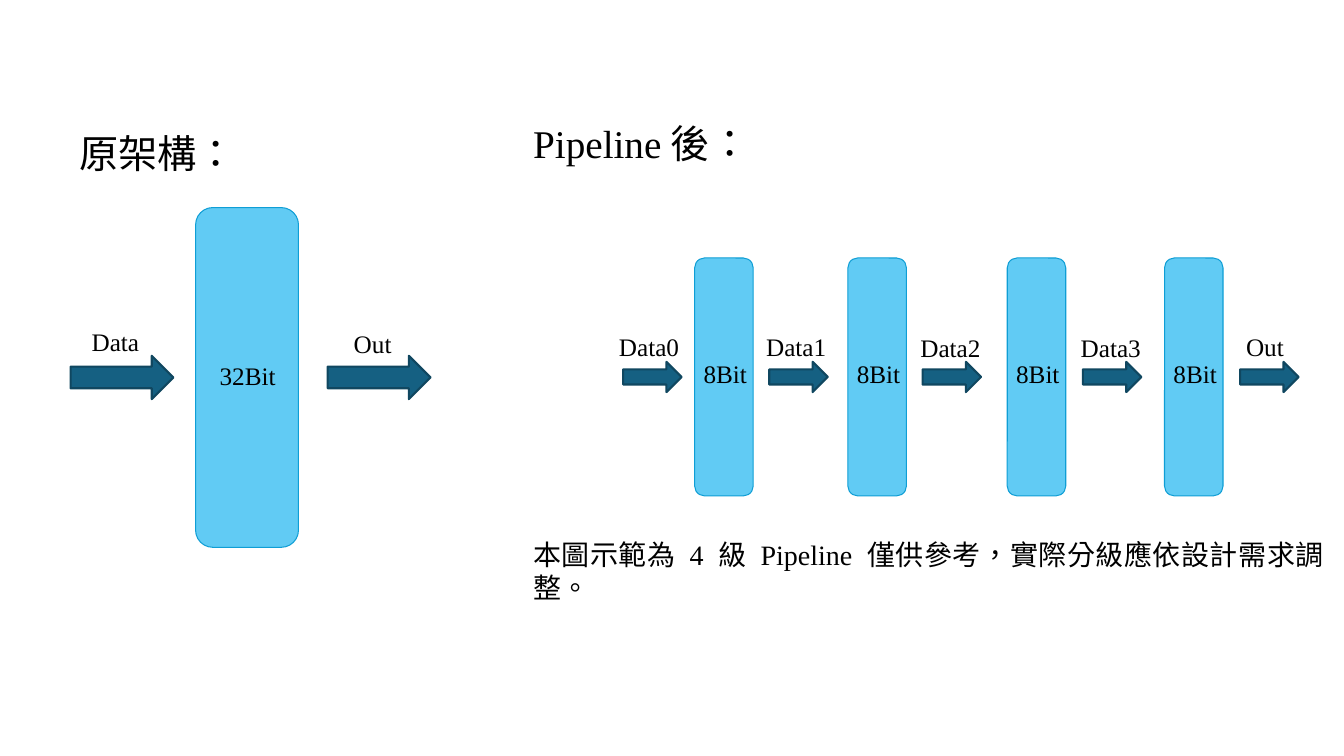
from pptx import Presentation
from pptx.dml.color import RGBColor
from pptx.enum.lang import MSO_LANGUAGE_ID
from pptx.enum.shapes import MSO_SHAPE
from pptx.enum.text import MSO_AUTO_SIZE, PP_ALIGN
from pptx.util import Pt

PX = 9144
COLORS = {
    "stage": "61CBF4",
    "stage_line": "0F9ED5",
    "arrow": "156082",
    "arrow_line": "104760",
    "text": "000000",
}


class Diagram:
    font = "Times New Roman"

    def __init__(self, page):
        self.page = page
        self.shapes = page.shapes

    def start_group(self):
        self.shapes = self.page.shapes.add_group_shape().shapes

    def end_group(self):
        self.shapes = self.page.shapes

    def shape(self, kind, area, color, line_width):
        box = self.shapes.add_shape(kind, *(length * PX for length in area))
        box.shadow.inherit = False
        box.fill.solid()
        box.fill.fore_color.rgb = RGBColor.from_string(COLORS[color])
        box.line.color.rgb = RGBColor.from_string(COLORS[color + "_line"])
        box.line.width = Pt(line_width)

    def stage(self, *area):
        self.shape(MSO_SHAPE.ROUNDED_RECTANGLE, area, "stage", 0.75)

    def arrow(self, *area):
        self.shape(MSO_SHAPE.RIGHT_ARROW, area, "arrow", 1.5)

    def text(self, words, *area, size=18, wrap=False, align=PP_ALIGN.LEFT):
        box = self.shapes.add_textbox(*(length * PX for length in area))
        frame = box.text_frame
        frame.word_wrap = wrap
        frame.auto_size = MSO_AUTO_SIZE.SHAPE_TO_FIT_TEXT
        para = frame.paragraphs[0]
        para.alignment = align
        span = para.add_run()
        span.text = words
        span.font.name = self.font
        span.font.size = Pt(size)
        span.font.color.rgb = RGBColor.from_string(COLORS["text"])
        span.font.language_id = MSO_LANGUAGE_ID.TRADITIONAL_CHINESE


def draw_single_stage(diagram):
    diagram.start_group()
    diagram.stage(194, 206, 102, 337)
    for left in (70, 325):
        diagram.arrow(left, 353, 102, 43)
    diagram.text("32Bit", 208, 353, 76, 40)
    diagram.text("Data", 81, 319, 68, 40)
    diagram.text("Out", 341, 321, 59, 40)
    diagram.end_group()


def draw_pipeline(diagram):
    stage_lefts = (689, 841, 999, 1155)
    transfers = (
        ("Data0", 618, 604, 324, 81),
        ("Data1", 763, 750, 324, 81),
        ("Data2", 915, 903, 325, 81),
        ("Data3", 1074, 1062, 325, 81),
        ("Out", 1230, 1226, 324, 58),
    )
    diagram.start_group()
    for left in stage_lefts:
        diagram.stage(left, 256, 58, 236)
        diagram.text("8Bit", left - 1, 351, 64, 40)
    for label, arrow_left, label_left, label_top, label_width in transfers:
        diagram.arrow(arrow_left, 359, 58, 30)
        diagram.text(label, label_left, label_top, label_width, 40)
    diagram.end_group()


def main():
    deck = Presentation()
    deck.slide_width = 1333 * PX
    deck.slide_height = 750 * PX
    page = deck.slides.add_slide(deck.slide_layouts[6])
    diagram = Diagram(page)
    draw_single_stage(diagram)
    draw_pipeline(diagram)
    diagram.text("Pipeline後：", 519, 113, 227, 57, size=28)
    diagram.text("原架構：", 69, 123, 177, 57, size=28)
    diagram.text(
        "本圖示範為 4 級 Pipeline 僅供參考，實際分級應依設計需求調整。",
        519, 528, 804, 44, size=20, wrap=True, align=PP_ALIGN.JUSTIFY,
    )
    deck.save("out.pptx")


if __name__ == "__main__":
    main()
